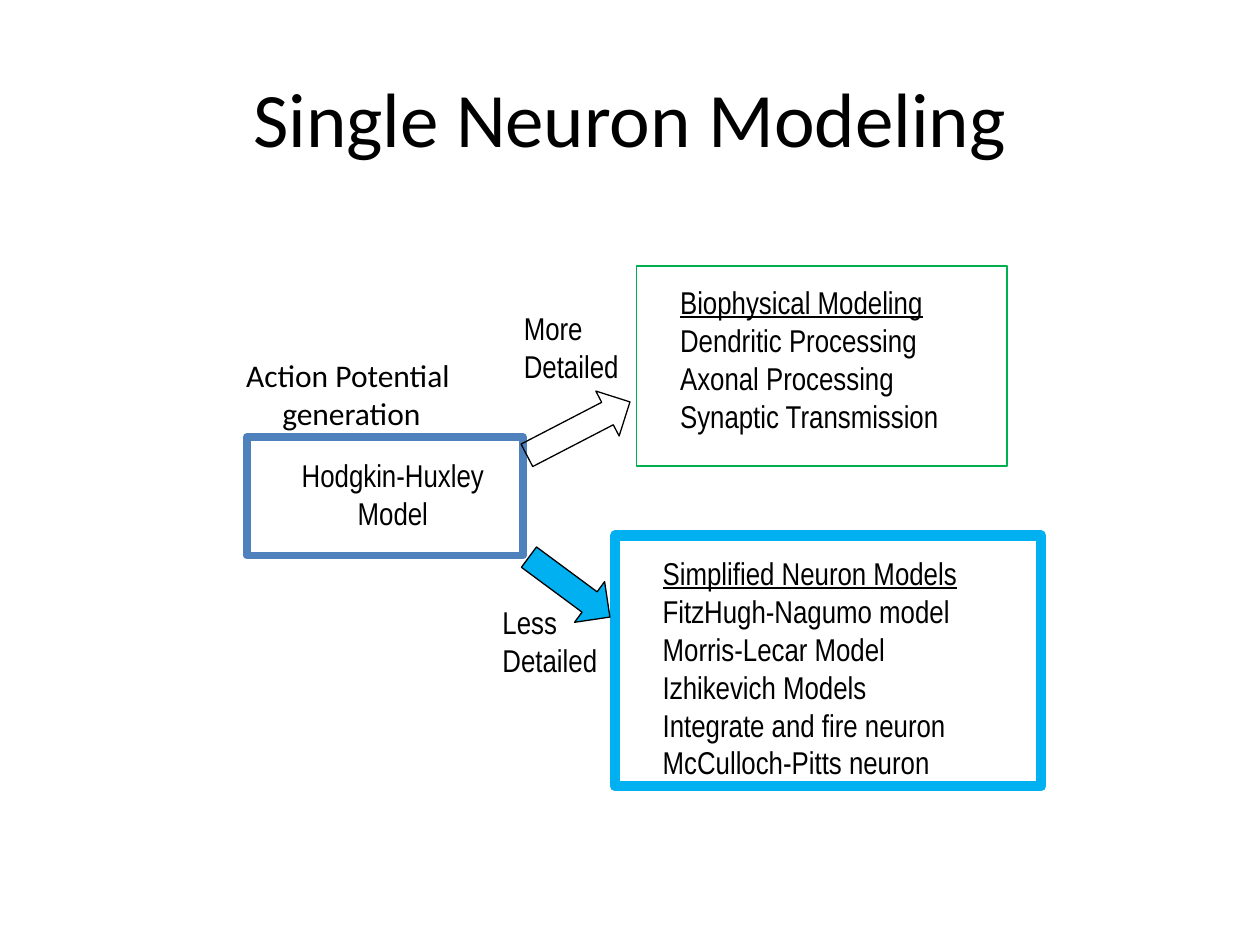
from dataclasses import dataclass
from typing import Optional

from pptx import Presentation
from pptx import util as u
from pptx.dml.color import RGBColor
from pptx.enum import shapes, text


@dataclass(frozen=True)
class Theme:
    black: str = "000000"
    blue: str = "4F81BD"
    green: str = "00B050"
    cyan: str = "00B0F0"
    heading_font: str = "Calibri"
    body_font: str = "Arial Narrow"
    title_size: int = 44
    body_size: int = 18


THEME = Theme()


@dataclass(frozen=True)
class Box:
    left: float
    top: float
    width: float
    height: float

    def lengths(self) -> tuple:
        return tuple(u.Cm(v) for v in (self.left, self.top, self.width, self.height))


@dataclass(frozen=True)
class Label:
    box: Box
    lines: tuple[str, ...]
    font: str = THEME.body_font
    size: int = THEME.body_size
    centered: bool = False
    headed: bool = False
    wrap: bool = True
    middle: bool = False


@dataclass(frozen=True)
class Outline:
    box: Box
    line: str
    weight: float
    kind: shapes.MSO_SHAPE = shapes.MSO_SHAPE.RECTANGLE
    fill: Optional[str] = None
    rotation: float = 0


ARROW = shapes.MSO_SHAPE.DOWN_ARROW

OUTLINES = (
    Outline(Box(4.98, 8.81, 5.56, 2.39), THEME.blue, 4.5),
    Outline(Box(12.83, 5.36, 7.47, 4.04), THEME.green, 1),
    Outline(Box(12.4, 10.8, 8.59, 5.05), THEME.cyan, 6),
    Outline(Box(11.15, 7.47, 1.02, 2.34), THEME.black, 0.75, ARROW, rotation=242.6),
    Outline(Box(10.97, 10.82, 1.02, 2.03), THEME.black, 0.75, ARROW, THEME.cyan, 306.5),
)

LABELS = (
    Label(Box(1.27, 0.76, 22.86, 3.18), ("Single Neuron Modeling",),
          THEME.heading_font, THEME.title_size, centered=True, middle=True),
    Label(Box(5.38, 9.07, 5.08, 1.8), ("Hodgkin-Huxley Model",), centered=True),
    Label(Box(13.46, 5.59, 6.86, 4.11),
          ("Biophysical Modeling", "Dendritic Processing", "Axonal Processing",
           "Synaptic Transmission"), headed=True),
    Label(Box(13.11, 11.05, 9.53, 4.88),
          ("Simplified Neuron Models", "FitzHugh-Nagumo model", "Morris-Lecar Model",
           "Izhikevich Models", "Integrate and fire neuron", "McCulloch-Pitts neuron"),
          headed=True),
    Label(Box(10.31, 6.1, 2.44, 1.8), ("More", "Detailed"), wrap=False),
    Label(Box(9.88, 12.04, 2.44, 1.8), ("Less", "Detailed"), wrap=False),
    Label(Box(4.67, 7.06, 4.83, 1.8), ("Action Potential ", "generation"),
          THEME.heading_font, centered=True, wrap=False),
)


def draw_outline(s, outline: Outline) -> None:
    sp = s.shapes.add_shape(outline.kind, *outline.box.lengths())
    sp.shadow.inherit = False
    sp.rotation = outline.rotation
    if outline.fill:
        sp.fill.solid()
        sp.fill.fore_color.rgb = RGBColor.from_string(outline.fill)
    else:
        sp.fill.background()
    sp.line.color.rgb = RGBColor.from_string(outline.line)
    sp.line.width = u.Pt(outline.weight)


def draw_label(s, label: Label) -> None:
    tf = s.shapes.add_textbox(*label.box.lengths()).text_frame
    tf.word_wrap = label.wrap
    if label.middle:
        tf.vertical_anchor = text.MSO_ANCHOR.MIDDLE
    else:
        tf.auto_size = text.MSO_AUTO_SIZE.SHAPE_TO_FIT_TEXT
    for i, line in enumerate(label.lines):
        p = tf.add_paragraph() if i else tf.paragraphs[0]
        p.alignment = text.PP_ALIGN.CENTER if label.centered else text.PP_ALIGN.LEFT
        r = p.add_run()
        r.text = line
        r.font.name = label.font
        r.font.size = u.Pt(label.size)
        r.font.color.rgb = RGBColor.from_string(THEME.black)
        if label.headed and i == 0:
            r.font.underline = True


def main() -> None:
    prs = Presentation()
    prs.slide_width, prs.slide_height = u.Cm(25.4), u.Cm(19.05)
    s = prs.slides.add_slide(prs.slide_layouts[6])
    for outline in OUTLINES:
        draw_outline(s, outline)
    for label in LABELS:
        draw_label(s, label)
    prs.save("out.pptx")


if __name__ == "__main__":
    main()
